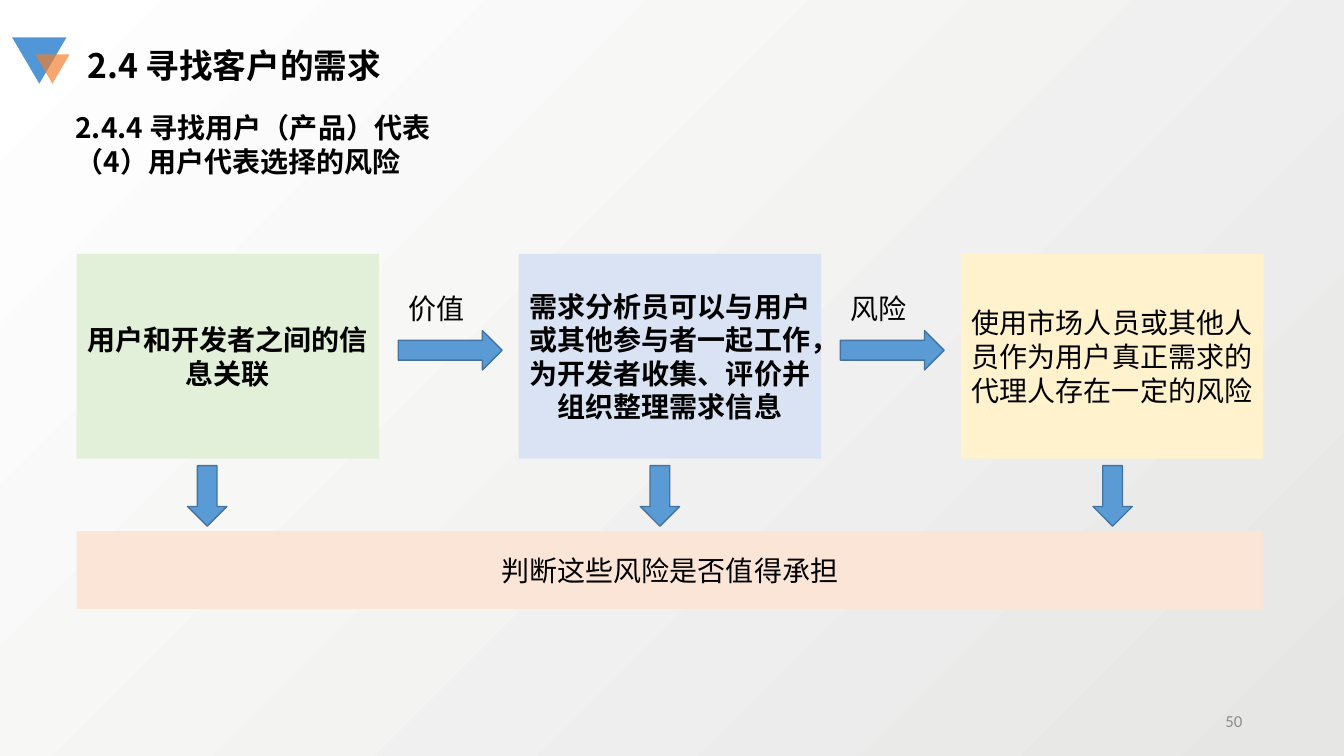
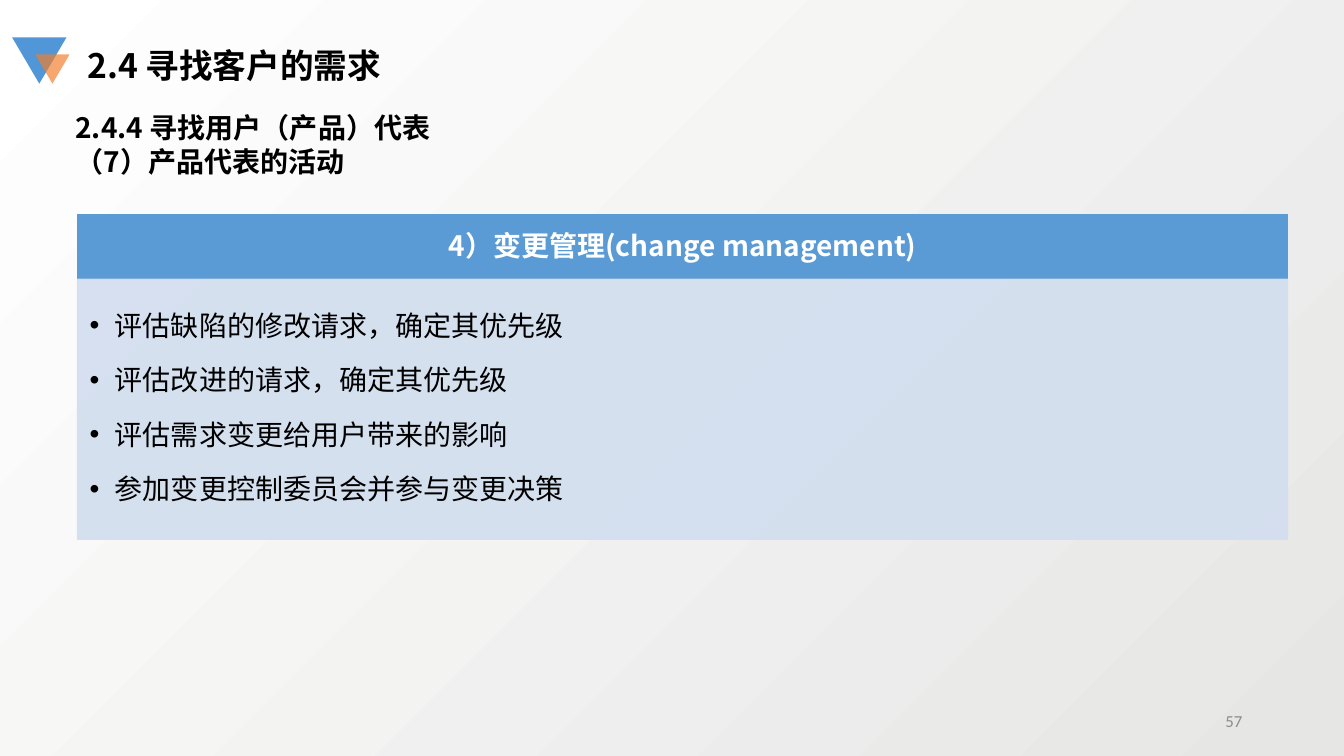
import dataclasses

import lxml.etree
import pptx
import pptx.dml.color
import pptx.enum.lang
import pptx.enum.shapes
import pptx.enum.text
import pptx.oxml.ns
import pptx.util

Inches = pptx.util.Inches
SHAPE = pptx.enum.shapes.MSO_SHAPE
ALIGN = pptx.enum.text.PP_ALIGN
ANCHOR = pptx.enum.text.MSO_ANCHOR
qn = pptx.oxml.ns.qn


@dataclasses.dataclass(frozen=True)
class Theme:
    """Colours, fonts and type sizes of the deck."""
    ink: str = "000000"
    white: str = "FFFFFF"
    shade: str = "E6E6E5"
    grey: str = "8C8C8C"
    blue: str = "5B9BD5"
    edge: str = "43739E"
    mark: str = "5197D7"
    warm: str = "F37D2A"
    pale: str = "D2DEEF"
    green: str = "E2F0D9"
    sky: str = "DAE3F3"
    cream: str = "FFF2CC"
    peach: str = "FBE5D6"
    sans: str = "Noto Sans CJK SC"
    serif: str = "Times New Roman"
    plain: str = "Calibri"
    head: int = 24
    body: int = 20
    note: int = 12


THEME = Theme()


def tint(code):
    """Turn a hex code into a colour."""
    return pptx.dml.color.RGBColor.from_string(code)


def dot(para, indent):
    """Give a paragraph a round bullet with a hanging indent."""
    props = para._p.get_or_add_pPr()
    props.set("marL", str(Inches(indent)))
    props.set("indent", str(-Inches(indent)))
    lxml.etree.SubElement(props, qn("a:buFont")).set("typeface", "Arial")
    lxml.etree.SubElement(props, qn("a:buChar")).set("char", "•")


def write(shape, text, size=THEME.body, font=THEME.sans, color=THEME.ink,
          bold=False, align=ALIGN.LEFT, anchor=ANCHOR.TOP, wrap=True,
          inset=(0.1, 0.05, 0.1, 0.05), lead=None, after=None, bullet=None):
    """Fill a shape with text, one paragraph a line."""
    frame = shape.text_frame
    frame.word_wrap = wrap
    frame.vertical_anchor = anchor
    (frame.margin_left, frame.margin_top,
     frame.margin_right, frame.margin_bottom) = map(Inches, inset)
    for index, line in enumerate(text.split("\n")):
        para = frame.add_paragraph() if index else frame.paragraphs[0]
        if bullet:
            dot(para, bullet)
        para.alignment = align
        if lead:
            para.line_spacing = lead
        if after:
            para.space_after = pptx.util.Pt(after)
        run = para.add_run()
        run.text = line
        face = run.font
        face.size, face.name, face.bold = pptx.util.Pt(size), font, bold
        face.color.rgb = tint(color)
        face.language_id = pptx.enum.lang.MSO_LANGUAGE_ID.SIMPLIFIED_CHINESE
        east = lxml.etree.SubElement(face._element, qn("a:ea"))
        east.set("typeface", THEME.sans)


def label(slide, box, text, **style):
    """Place a text box."""
    write(slide.shapes.add_textbox(*map(Inches, box)), text, **style)


def block(slide, box, fill, kind=SHAPE.RECTANGLE, line=None, alpha=None,
          turn=0):
    """Place a filled shape, opaque to alpha percent."""
    shape = slide.shapes.add_shape(kind, *map(Inches, box))
    shape.shadow.inherit = False
    shape.rotation = turn
    shape.fill.solid()
    shape.fill.fore_color.rgb = tint(fill)
    if line:
        shape.line.color.rgb = tint(line)
        shape.line.width = pptx.util.Pt(1)
    else:
        shape.line.fill.background()
    if alpha:
        for color in shape._element.spPr.iter(qn("a:srgbClr")):
            lxml.etree.SubElement(color, qn("a:alpha")).set(
                "val", str(alpha * 1000))
    return shape


def badge(slide, left, top):
    """Draw the two triangles beside the title."""
    block(slide, (left, top, 0.54, 0.46), THEME.mark, SHAPE.ISOSCELES_TRIANGLE,
          turn=180)
    block(slide, (left + 0.23, top + 0.17, 0.34, 0.29), THEME.warm,
          SHAPE.ISOSCELES_TRIANGLE, alpha=68, turn=180)


def page(deck, topic, number):
    """Add a slide with its badge, headings and page number."""
    slide = deck.slides.add_slide(deck.slide_layouts[6])
    badge(slide, 0.12, 0.37)
    label(slide, (0.77, 0.4, 5.78, 0.5), "2.4 寻找客户的需求",
          size=THEME.head, bold=True)
    label(slide, (0.65, 1.05, 9.19, 0.77),
          "2.4.4 寻找用户（产品）代表\n" + topic, bold=True)
    label(slide, (9.42, 6.95, 3, 0.4), str(number), size=THEME.note,
          font=THEME.plain, color=THEME.grey, align=ALIGN.RIGHT,
          anchor=ANCHOR.MIDDLE)
    return slide


def card(slide, box, text, fill, **style):
    """Draw a coloured box with centred text."""
    write(block(slide, box, fill), text, align=ALIGN.CENTER,
          anchor=ANCHOR.MIDDLE, **style)


def arrow(slide, box, kind):
    """Draw a block arrow."""
    block(slide, box, THEME.blue, kind, line=THEME.edge)


def flow(slide, box, cards, links, result):
    """Draw a row of cards, linked by arrows, above their result."""
    left, top, width, height = box
    wide, high, base = 3, 2.03, 0.77
    step = (width - wide) / (len(cards) - 1)
    for index, (text, fill, font, bold) in enumerate(cards):
        card(slide, (left + index * step, top, wide, high), text, fill,
             font=font, bold=bold)
        arrow(slide, (left + 1.1 + index * 4.49, top + high + 0.07, 0.39, 0.6),
              SHAPE.DOWN_ARROW)
    for index, text in enumerate(links):
        start = left + wide + 0.19 + index * step
        arrow(slide, (start, top + 0.76, 1.03, 0.39), SHAPE.RIGHT_ARROW)
        label(slide, (start, top + 0.32, 0.76, 0.44), text, font=THEME.plain,
              wrap=False)
    card(slide, (left, top + height - base, width, base), result, THEME.peach,
         font=THEME.plain)


def panel(slide, box, title, items):
    """Draw a titled panel of bullets."""
    left, top, width, height = box
    band = 0.64
    head = block(slide, (left, top, width, band), THEME.blue, line=THEME.blue)
    write(head, title, color=THEME.white, bold=True, align=ALIGN.CENTER,
          anchor=ANCHOR.MIDDLE, inset=(0.16, 0.09, 0.16, 0.09), lead=0.9,
          after=7)
    body = block(slide, (left, top + band, width, height - band), THEME.pale,
                 line=THEME.pale, alpha=90)
    write(body, "\n".join(items), inset=(0.12, 0.12, 0.16, 0.17), lead=1.5,
          after=3, bullet=0.25)


def paint(deck):
    """Give the master its diagonal gradient."""
    fill = deck.slide_master.background.fill
    fill.gradient()
    fill.gradient_angle = 135
    for stop, spot, code in zip(fill.gradient_stops, (0, 1),
                                (THEME.shade, THEME.white)):
        stop.position = spot
        stop.color.rgb = tint(code)


def main():
    """Build and save the deck."""
    deck = pptx.Presentation()
    deck.slide_width, deck.slide_height = Inches(13.33), Inches(7.5)
    paint(deck)
    flow(page(deck, "（4）用户代表选择的风险", 50), (0.76, 2.52, 11.77, 3.52),
         [("用户和开发者之间的信息关联", THEME.green, THEME.serif, True),
          ("需求分析员可以与用户或其他参与者一起工作，为开发者收集、评价并组织整理需求信息",
           THEME.sky, THEME.serif, True),
          ("使用市场人员或其他人员作为用户真正需求的代理人存在一定的风险",
           THEME.cream, THEME.plain, False)],
         ["价值", "风险"], "判断这些风险是否值得承担")
    panel(page(deck, "（7）产品代表的活动", 57), (0.77, 2.13, 12, 3.22),
          "4）变更管理(change management)",
          ["评估缺陷的修改请求，确定其优先级", "评估改进的请求，确定其优先级",
           "评估需求变更给用户带来的影响", "参加变更控制委员会并参与变更决策"])
    deck.save("out.pptx")


if __name__ == "__main__":
    main()
